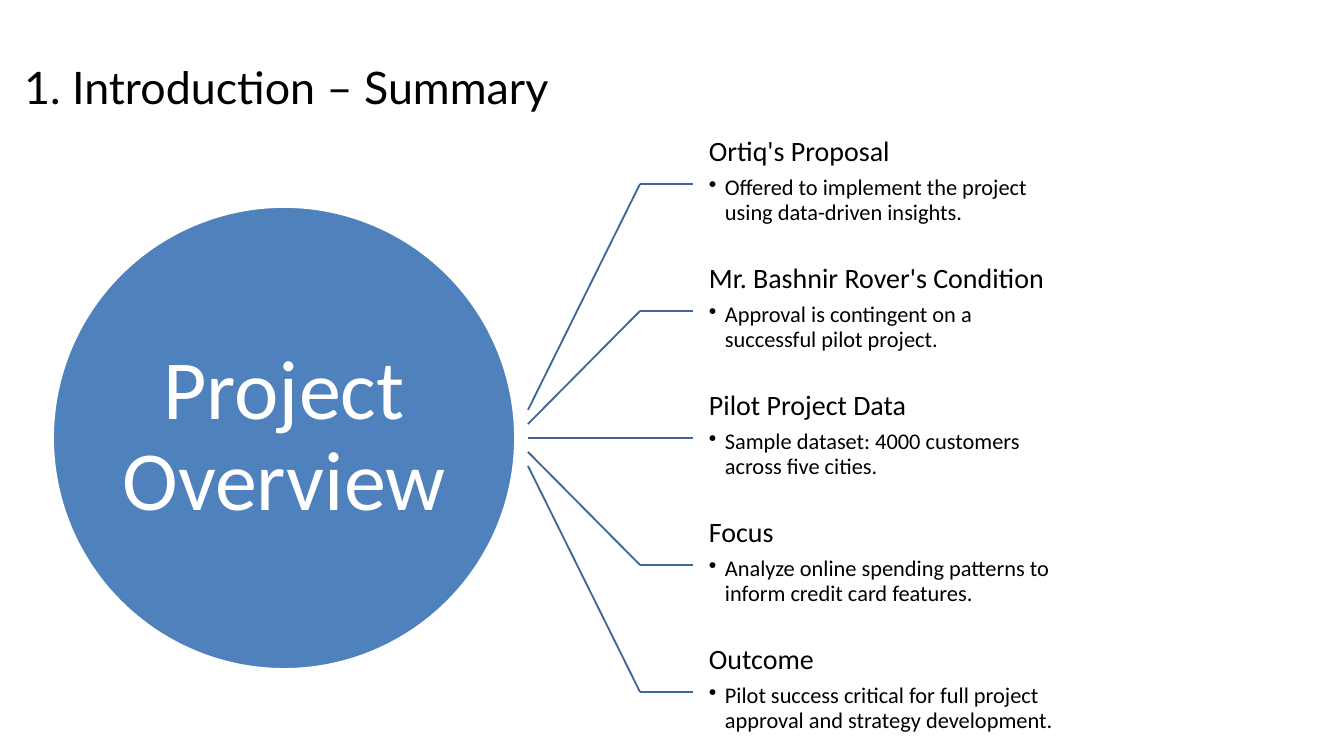
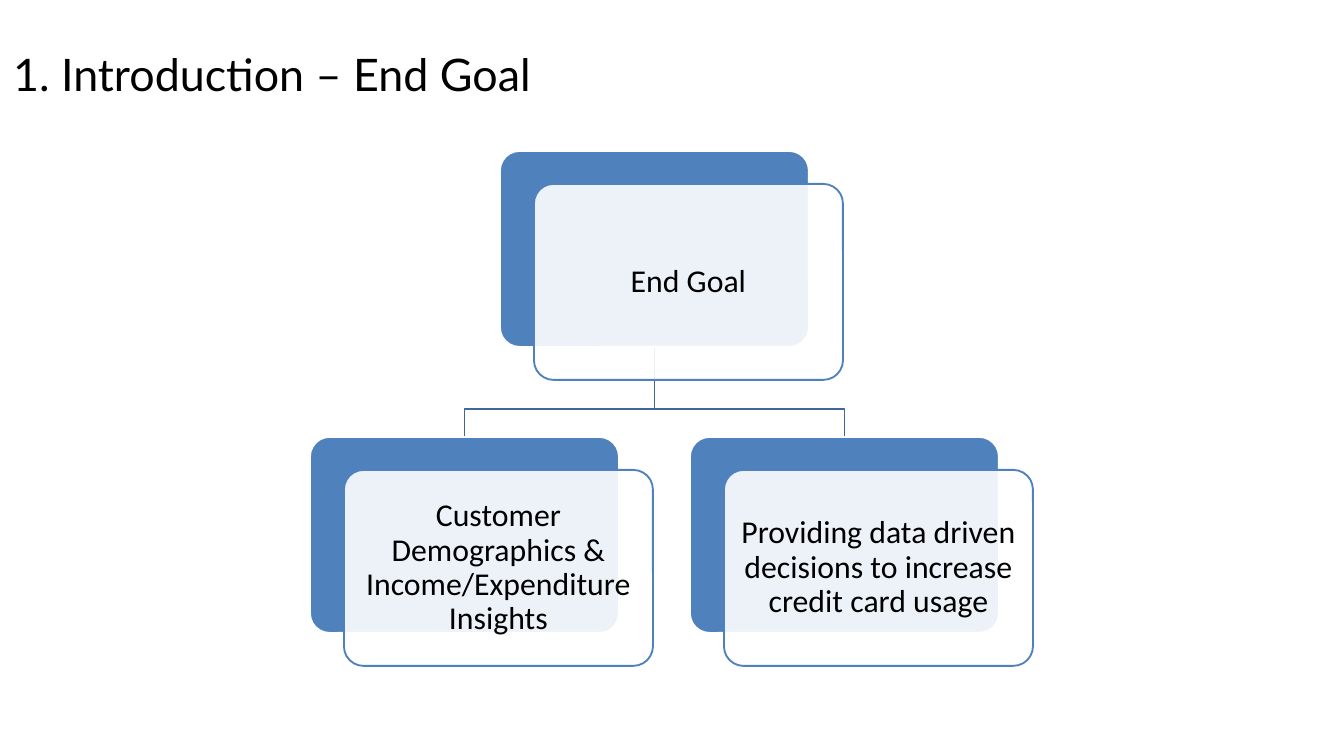
from lxml import etree
from pptx import Presentation
from pptx import util as u
from pptx.dml.color import RGBColor
from pptx.enum import shapes, text
from pptx.oxml.ns import qn

EMU_PER_PX = 914400 / 134.4
BLUE, DARK_BLUE, WHITE, BLACK = "4F81BD", "3F6797", "FFFFFF", "000000"
TITLE_FONT, BODY_FONT = "Lato", "Calibri"
TITLE_ONLY = 5

TOPICS = [
    ("Ortiq's Proposal",
     "Offered to implement the project using data-driven insights."),
    ("Mr. Bashnir Rover's Condition",
     "Approval is contingent on a successful pilot project."),
    ("Pilot Project Data",
     "Sample dataset: 4000 customers across five cities."),
    ("Focus",
     "Analyze online spending patterns to inform credit card features."),
    ("Outcome",
     "Pilot success critical for full project approval and strategy development."),
]
GOALS = [
    "Customer Demographics & Income/Expenditure Insights",
    "Providing data driven decisions to increase credit card usage",
]
TOPIC_LEFT, TOPIC_TOP, TOPIC_WIDTH, TOPIC_HEIGHT, TOPIC_PITCH = 693, 121, 383, 126, 127
CARD_WIDTH, CARD_HEIGHT = 309, 196


def px(length):
    return u.Emu(round(length * EMU_PER_PX))


def area(*lengths):
    return [px(length) for length in lengths]


def color(code):
    return RGBColor.from_string(code)


def set_frame(shape, inset, anchor):
    frame = shape.text_frame
    frame.word_wrap = True
    frame.auto_size = text.MSO_AUTO_SIZE.NONE
    frame.vertical_anchor = anchor
    frame.margin_left = frame.margin_right = px(inset)
    frame.margin_top = frame.margin_bottom = px(inset)


def write(para, words, size, ink=BLACK, font=BODY_FONT, align=text.PP_ALIGN.LEFT,
          spacing=0.9, after=0, bullet=False):
    if bullet:
        para.level = 1
        props = para._p.get_or_add_pPr()
        props.set("marL", str(px(16)))
        props.set("indent", str(-px(16)))
        etree.SubElement(props, qn("a:buChar")).set("char", "•")
    para.alignment = align
    para.line_spacing = spacing
    para.space_after = u.Pt(after)
    span = para.add_run()
    span.text = words
    span.font.size = u.Pt(size)
    span.font.name = font
    span.font.color.rgb = color(ink)


def add_page(deck, title, left, top, width):
    page = deck.slides.add_slide(deck.slide_layouts[TITLE_ONLY])
    box = page.shapes.title
    box.left, box.top, box.width, box.height = area(left, top, width, 73)
    set_frame(box, 13, text.MSO_ANCHOR.TOP)
    write(box.text_frame.paragraphs[0], title, 24, font=TITLE_FONT, spacing=1.0)
    return page


def add_figure(page, kind, bounds, fill, line, opacity=100):
    figure = page.shapes.add_shape(kind, *area(*bounds))
    figure.shadow.inherit = False
    figure.fill.solid()
    figure.fill.fore_color.rgb = color(fill)
    if opacity < 100:
        shade = figure._element.spPr.find(qn("a:solidFill"))[0]
        etree.SubElement(shade, qn("a:alpha")).set("val", str(opacity * 1000))
    figure.line.color.rgb = color(line)
    figure.line.width = u.Pt(1)
    return figure


def add_line(page, start, end):
    line = page.shapes.add_connector(shapes.MSO_CONNECTOR.STRAIGHT, *area(*start, *end))
    line.line.color.rgb = color(DARK_BLUE)
    line.line.width = u.Pt(1)
    etree.SubElement(line._element.spPr, qn("a:effectLst"))
    return line


def add_topic(page, row, heading, detail):
    """Add a heading with its bullet, and the bent spoke that leads to it."""
    top = TOPIC_TOP + row * TOPIC_PITCH
    middle = top + TOPIC_HEIGHT // 2
    bend = (640, middle)
    box = page.shapes.add_textbox(*area(TOPIC_LEFT, top, TOPIC_WIDTH, TOPIC_HEIGHT))
    set_frame(box, 16, text.MSO_ANCHOR.TOP)
    write(box.text_frame.paragraphs[0], heading, 15, after=5)
    write(box.text_frame.add_paragraph(), detail, 12, after=2, bullet=True)
    add_line(page, (528, 410 + 14 * row), bend)
    add_line(page, bend, (TOPIC_LEFT, middle)).end_connect(box, 1)


def add_branch(page, *points):
    corners = [area(*point) for point in points]
    builder = page.shapes.build_freeform(*corners[0])
    builder.add_line_segments(corners[1:], close=False)
    branch = builder.convert_to_shape()
    branch.shadow.inherit = False
    branch.fill.background()
    branch.line.color.rgb = color(DARK_BLUE)
    branch.line.width = u.Pt(1)


def add_card(page, left, top, words):
    """Add a blue card with a translucent text card set off in front of it."""
    rounded = shapes.MSO_SHAPE.ROUNDED_RECTANGLE
    back = add_figure(page, rounded, (left, top, CARD_WIDTH, CARD_HEIGHT), BLUE, WHITE)
    front = add_figure(page, rounded, (left + 34, top + 33, CARD_WIDTH, CARD_HEIGHT),
                       WHITE, BLUE, opacity=90)
    back.adjustments[0] = front.adjustments[0] = 0.1
    set_frame(front, 9, text.MSO_ANCHOR.MIDDLE)
    write(front.text_frame.paragraphs[0], words, 17, align=text.PP_ALIGN.CENTER)


def build_summary(deck):
    page = add_page(deck, "1. Introduction – Summary", 11, 47, 806)
    hub = add_figure(page, shapes.MSO_SHAPE.OVAL, (53, 207, 462, 462), BLUE, WHITE)
    set_frame(hub, 0, text.MSO_ANCHOR.MIDDLE)
    write(hub.text_frame.paragraphs[0], "Project Overview", 45, ink=WHITE,
          align=text.PP_ALIGN.CENTER)
    for row, (heading, detail) in enumerate(TOPICS):
        add_topic(page, row, heading, detail)


def build_end_goal(deck):
    page = add_page(deck, "1. Introduction – End Goal", 0, 34, 969)
    root_left, root_top, goal_top = 500, 151, 437
    goal_lefts = [root_left - 190, root_left + 190]
    root_middle = root_left + CARD_WIDTH / 2
    for left in goal_lefts:
        middle = left + CARD_WIDTH / 2
        add_branch(page, (root_middle, root_top + CARD_HEIGHT), (root_middle, 409),
                   (middle, 409), (middle, goal_top))
    add_card(page, root_left, root_top, "End Goal")
    for left, goal in zip(goal_lefts, GOALS):
        add_card(page, left, goal_top, goal)


def main():
    deck = Presentation()
    deck.slide_width, deck.slide_height = area(1344, 756)
    build_summary(deck)
    build_end_goal(deck)
    deck.save("out.pptx")


if __name__ == "__main__":
    main()
